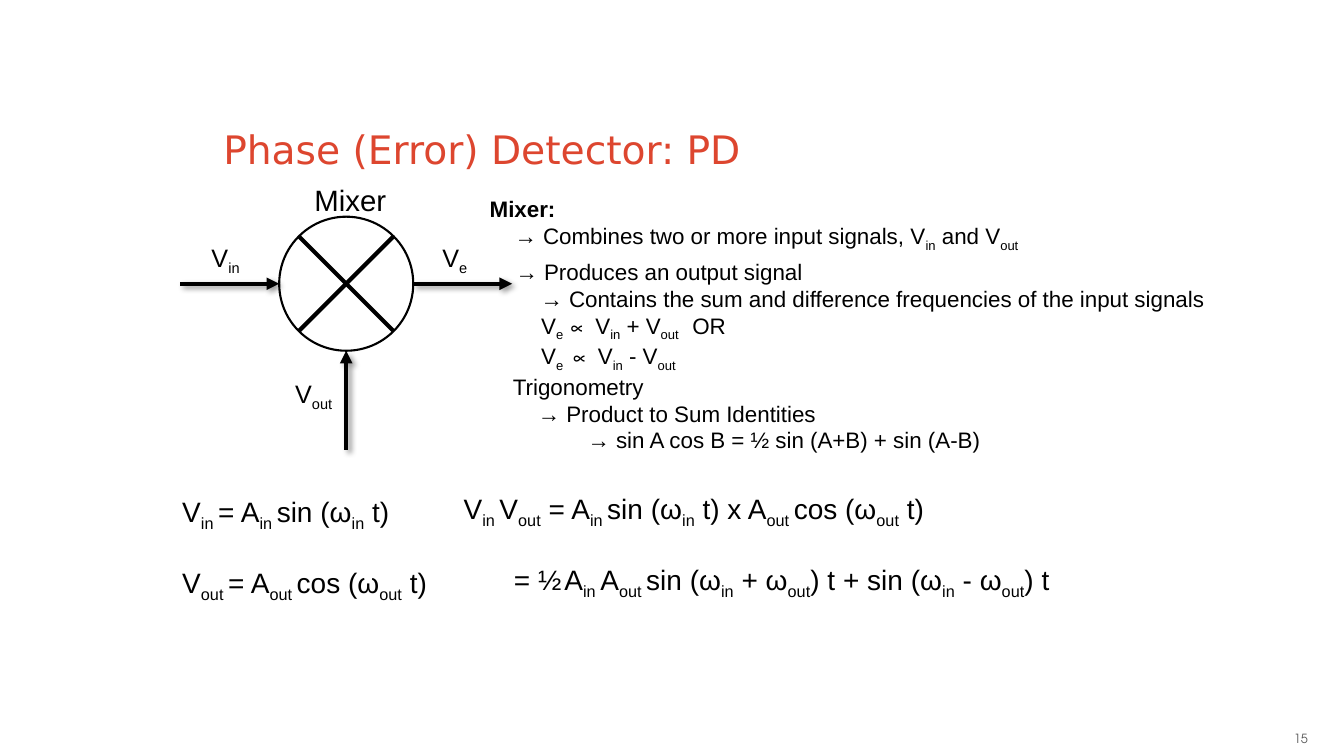
"""Builds a slide on the phase (error) detector: mixer diagram, notes and equations."""
from dataclasses import dataclass
from math import sqrt

from lxml.etree import SubElement
from pptx import Presentation
from pptx.dml.color import RGBColor
from pptx.enum.shapes import MSO_CONNECTOR as Connector, MSO_SHAPE as Preset
from pptx.enum.text import MSO_ANCHOR as Anchor, PP_ALIGN as Align
from pptx.oxml.ns import qn
from pptx.slide import Slide
from pptx.util import Inches, Pt

COLORS = {"ink": "000000", "title": "DD462F", "number": "595959"}
CELL = Inches(0.1)
COLUMNS, ROWS = 133.33, 75
CENTER_X, CENTER_Y, RADIUS, ARM = 34.35, 28.15, 6.65, 9.8
NOTE_STEP = 2.47


@dataclass(frozen=True)
class Line:
    text: str
    indent: float = 0
    bold: bool = False
    before: float = 0
    tabs: tuple[float, ...] = ()


@dataclass(frozen=True)
class TextBlock:
    left: float
    top: float
    width: float
    height: float
    size: float
    lines: tuple[Line, ...]
    font: str = "Arial"
    color: str = "ink"
    anchor: Anchor = Anchor.TOP
    align: Align = Align.LEFT
    margins: tuple[float, float] = (1, 0.5)


@dataclass(frozen=True)
class Stroke:
    start: tuple[float, float]
    end: tuple[float, float]
    arrow: bool = True


def cells(count: float) -> int:
    """Turn a number of grid cells into a length."""
    return round(count * CELL)


def rgb(name: str) -> RGBColor:
    """Look up a named colour."""
    return RGBColor.from_string(COLORS[name])


def label(left: float, top: float, width: float, text: str, size: float = 18) -> TextBlock:
    """Describe a one-line diagram label."""
    return TextBlock(left, top, width, 4, size, (Line(text),))


def draw_text(page: Slide, block: TextBlock) -> None:
    """Draw a text block; braces enclose subscripts."""
    box = page.shapes.add_textbox(*map(cells, (block.left, block.top, block.width, block.height)))
    frame = box.text_frame
    frame.word_wrap = True
    frame.vertical_anchor = block.anchor
    frame.margin_left = frame.margin_right = cells(block.margins[0])
    frame.margin_top = frame.margin_bottom = cells(block.margins[1])
    for index, line in enumerate(block.lines):
        para = frame.add_paragraph() if index else frame.paragraphs[0]
        para.alignment = block.align
        if line.before:
            para.space_before = Pt(line.before)
        settings = para._p.get_or_add_pPr()
        settings.set("marL", str(cells(line.indent)))
        settings.set("indent", "0")
        if line.tabs:
            stops = SubElement(settings, qn("a:tabLst"))
            for stop in line.tabs:
                SubElement(stops, qn("a:tab"), pos=str(cells(stop)), algn="l")
        for part, text in enumerate(line.text.replace("}", "{").split("{")):
            if not text:
                continue
            span = para.add_run()
            span.text = text
            span.font.name = block.font
            span.font.size = Pt(block.size)
            span.font.bold = line.bold
            span.font.color.rgb = rgb(block.color)
            if part % 2:
                span._r.get_or_add_rPr().set("baseline", "-25000")


def draw_stroke(page: Slide, stroke: Stroke) -> None:
    """Draw a plain line, or a shadowed arrow."""
    connector = page.shapes.add_connector(
        Connector.STRAIGHT, *map(cells, (*stroke.start, *stroke.end)))
    connector.line.color.rgb = rgb("ink")
    connector.line.width = Pt(3)
    effects = SubElement(connector._element.spPr, qn("a:effectLst"))
    if stroke.arrow:
        SubElement(connector.line._get_or_add_ln(), qn("a:tailEnd"), type="triangle")
        shadow = SubElement(effects, qn("a:outerShdw"), blurRad=str(Pt(4)), dist=str(Pt(3)),
                            dir="2700000", algn="tl", rotWithShape="0")
        color = SubElement(shadow, qn("a:srgbClr"), val=COLORS["ink"])
        SubElement(color, qn("a:alpha"), val="40000")


def draw_mixer(page: Slide) -> None:
    """Draw the crossed circle with its input and output arrows."""
    circle = page.shapes.add_shape(
        Preset.OVAL, cells(CENTER_X - RADIUS), cells(CENTER_Y - RADIUS),
        cells(2 * RADIUS), cells(2 * RADIUS))
    circle.shadow.inherit = False
    circle.fill.background()
    circle.line.color.rgb = rgb("ink")
    circle.line.width = Pt(1.5)
    reach = RADIUS / sqrt(2)
    west, east = CENTER_X - RADIUS, CENTER_X + RADIUS
    south = CENTER_Y + RADIUS
    strokes = [Stroke((CENTER_X - reach, CENTER_Y - side * reach),
                      (CENTER_X + reach, CENTER_Y + side * reach), False) for side in (1, -1)]
    strokes += [
        Stroke((west - ARM, CENTER_Y), (west, CENTER_Y)),
        Stroke((east, CENTER_Y), (east + ARM, CENTER_Y)),
        Stroke((CENTER_X, south + ARM), (CENTER_X, south)),
    ]
    for stroke in strokes:
        draw_stroke(page, stroke)


BLOCKS = (
    TextBlock(21.4, 9.3, 91.2, 8.2, 28, (Line("Phase (Error) Detector: PD"),),
              "DejaVu Sans", "title", Anchor.BOTTOM, margins=(0.75, 0.4)),
    TextBlock(94.7, 71.3, 35.8, 4, 9, (Line("15"),), "TeX Gyre Adventor", "number",
              Anchor.MIDDLE, Align.RIGHT, (0.75, 0.4)),
    label(30.2, 17.6, 13.3, "Mixer", 21),
    label(20, 23.5, 7.7, "V{in}"),
    label(28.3, 37, 6, "V{out}"),
    label(42.9, 23.5, 7.1, "V{e}"),
    TextBlock(47.6, 18.9, 65.4, 9.1, 16, (
        Line("Mixer:", bold=True),
        Line("→ Combines two or more input signals, V{in} and V{out}", NOTE_STEP))),
    TextBlock(47.7, 25.1, 77.4, 11.8, 16, (
        Line("→ Produces an output signal", NOTE_STEP),
        Line("→ Contains the sum and difference frequencies of the input signals", 2 * NOTE_STEP),
        Line("\tV{e }∝ V{in} + V{out}\tOR", tabs=(7.45, 24)),
        Line("\tV{e} ∝ V{in} - V{out}", tabs=(7.45,)))),
    TextBlock(49.9, 36.5, 71.7, 9.4, 16, (
        Line("Trigonometry"),
        Line("→ Product to Sum Identities", NOTE_STEP),
        Line("→ sin A cos B = ½ sin (A+B) + sin (A-B)", 3 * NOTE_STEP))),
    TextBlock(17.1, 48.6, 29.3, 11.1, 20, (
        Line("V{in }= A{in }sin (ω{in} t)"),
        Line("V{out }= A{out }cos (ω{out} t)", before=23))),
    TextBlock(45, 48.3, 77.5, 11.1, 20, (
        Line("V{in }V{out} = A{in }sin (ω{in} t) x A{out }cos (ω{out} t)"),
        Line("\t= ½\tA{in }A{out }sin (ω{in} + ω{out}) t + sin (ω{in} - ω{out}) t",
             before=23, tabs=(9.26, 15.35)))),
)


def main() -> None:
    """Build and save the deck."""
    deck = Presentation()
    deck.slide_width, deck.slide_height = cells(COLUMNS), cells(ROWS)
    page = deck.slides.add_slide(deck.slide_layouts[6])
    draw_mixer(page)
    for block in BLOCKS:
        draw_text(page, block)
    deck.save("out.pptx")


if __name__ == "__main__":
    main()
